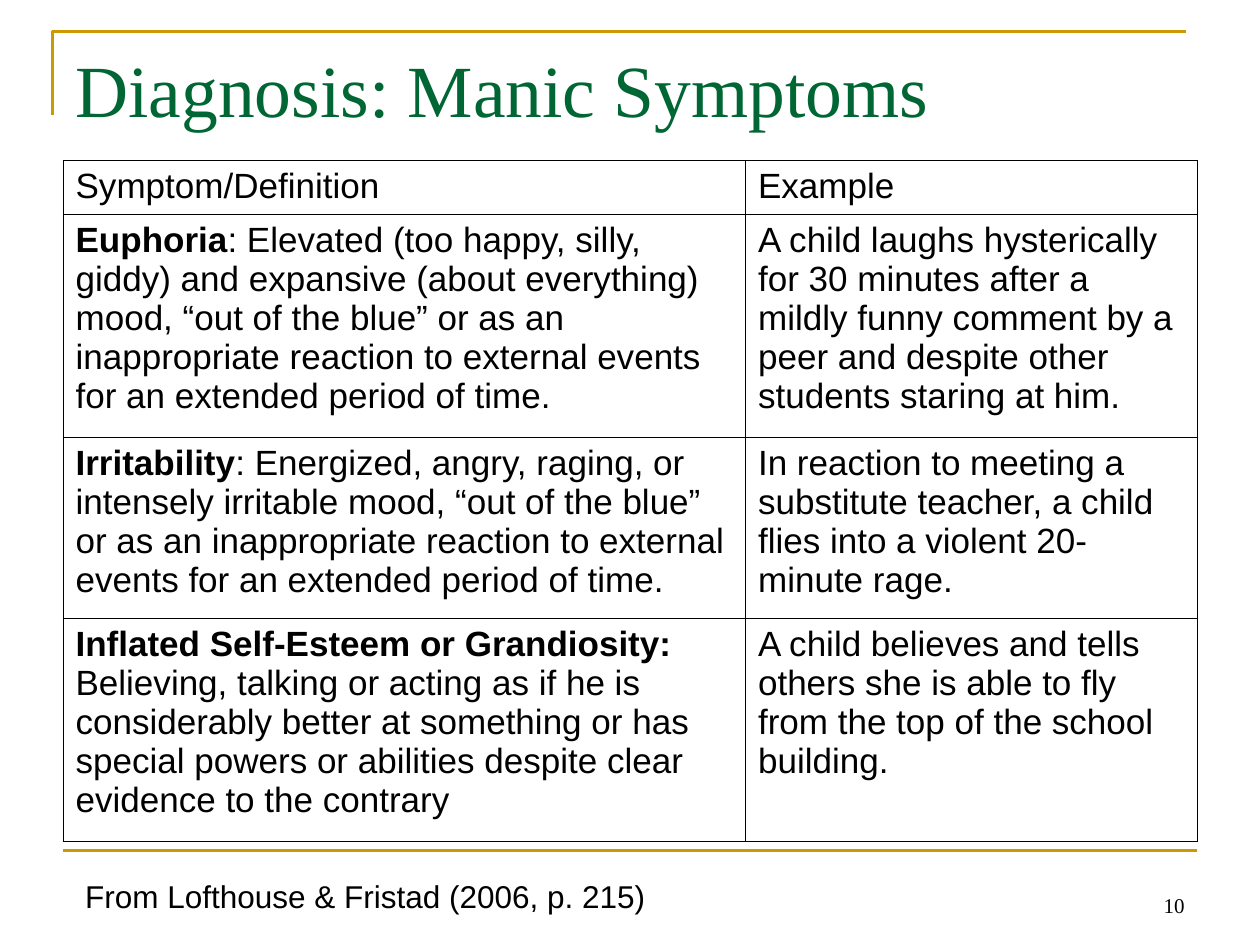
from lxml.etree import SubElement
from pptx import Presentation
from pptx.dml.color import RGBColor
from pptx.enum.shapes import MSO_CONNECTOR
from pptx.enum.text import MSO_ANCHOR, PP_ALIGN
from pptx.oxml.ns import qn
from pptx.util import Pt

GOLD = RGBColor(0xCC, 0x99, 0x00)
GREEN = RGBColor(0x00, 0x66, 0x33)
BLACK = RGBColor(0x00, 0x00, 0x00)
SERIF = "Times New Roman"
SANS = "Arial"

COLUMN_WIDTHS = (390, 258)
ROW_HEIGHTS = (31, 127.4, 103, 127.4)
ROWS = (
    (("", "Symptom/Definition"), ("", "Example")),
    (
        ("Euphoria", ": Elevated (too happy, silly, giddy) and expansive (about everything) mood, "
         "“out of the blue” or as an inappropriate reaction to external events "
         "for an extended period of time."),
        ("", "A child laughs hysterically for 30 minutes after a mildly funny comment "
         "by a peer and despite other students staring at him."),
    ),
    (
        ("Irritability", ": Energized, angry, raging, or intensely irritable mood, "
         "“out of the blue” or as an inappropriate reaction to external events "
         "for an extended period of time."),
        ("", "In reaction to meeting a substitute teacher, a child flies into "
         "a violent 20-minute rage."),
    ),
    (
        ("Inflated Self-Esteem or Grandiosity:", " Believing, talking or acting as if he is "
         "considerably better at something or has special powers or abilities "
         "despite clear evidence to the contrary"),
        ("", "A child believes and tells others she is able to fly "
         "from the top of the school building."),
    ),
)


def set_font(paragraph, name, size, color):
    paragraph.font.name = name
    paragraph.font.size = Pt(size)
    paragraph.font.color.rgb = color


def add_text(slide, left, top, width, height, text, name, size, color):
    shape = slide.shapes.add_textbox(Pt(left), Pt(top), Pt(width), Pt(height))
    frame = shape.text_frame
    frame.word_wrap = True
    paragraph = frame.paragraphs[0]
    paragraph.text = text
    set_font(paragraph, name, size, color)
    return frame


def add_title(slide, left, top, width, height):
    add_text(slide, left, top, width, height,
             "Diagnosis: Manic Symptoms", SERIF, 42, GREEN)


def add_corner_rule(slide, left, top, width, height):
    builder = slide.shapes.build_freeform(Pt(left), Pt(top + height))
    builder.add_line_segments(
        [(Pt(left), Pt(top)), (Pt(left + width), Pt(top))], close=False)
    shape = builder.convert_to_shape()
    shape.shadow.inherit = False
    shape.fill.background()
    shape.line.color.rgb = GOLD
    shape.line.width = Pt(1.5)


def add_bottom_rule(slide, left, top, width):
    connector = slide.shapes.add_connector(
        MSO_CONNECTOR.STRAIGHT, Pt(left), Pt(top), Pt(left + width), Pt(top))
    connector.line.color.rgb = GOLD
    connector.line.width = Pt(1.5)
    SubElement(connector._element.spPr, qn("a:effectLst"))


def set_borders(cell):
    properties = cell._tc.get_or_add_tcPr()
    for position, side in enumerate(("a:lnL", "a:lnR", "a:lnT", "a:lnB")):
        line = properties.makeelement(qn(side), {"w": str(Pt(0.45))})
        fill = SubElement(line, qn("a:solidFill"))
        SubElement(fill, qn("a:srgbClr"), val=str(BLACK))
        properties.insert(position, line)


def fill_cell(cell, term, text):
    cell.fill.background()
    set_borders(cell)
    paragraph = cell.text_frame.paragraphs[0]
    paragraph.space_before = Pt(5)
    set_font(paragraph, SANS, 20, BLACK)
    if term:
        run = paragraph.add_run()
        run.text = term
        run.font.bold = True
    paragraph.add_run().text = text


def add_symptom_table(slide, left, top):
    shape = slide.shapes.add_table(
        len(ROWS), len(COLUMN_WIDTHS), Pt(left), Pt(top),
        Pt(sum(COLUMN_WIDTHS)), Pt(sum(ROW_HEIGHTS)))
    table = shape.table
    table.first_row = False
    table.horz_banding = False
    for column, width in zip(table.columns, COLUMN_WIDTHS):
        column.width = Pt(width)
    for row, height, contents in zip(table.rows, ROW_HEIGHTS, ROWS):
        row.height = Pt(height)
        for cell, (term, text) in zip(row.cells, contents):
            fill_cell(cell, term, text)


def add_footer(slide, left, top, width, height):
    add_text(slide, left + 5.6, top + 6, 345, 29,
             "From Lofthouse & Fristad (2006, p. 215)", SANS, 18, BLACK)
    number = add_text(slide, left + width - 168, top, 168, height, "10", SERIF, 12, BLACK)
    number.vertical_anchor = MSO_ANCHOR.BOTTOM
    number.paragraphs[0].alignment = PP_ALIGN.RIGHT


def main():
    presentation = Presentation()
    presentation.slide_width = Pt(720)
    presentation.slide_height = Pt(540)
    slide = presentation.slides.add_slide(presentation.slide_layouts[6])
    add_corner_rule(slide, 30, 18, 648, 48)
    add_bottom_rule(slide, 36, 486, 648)
    add_title(slide, 36, 21.6, 648, 90)
    add_symptom_table(slide, 36, 91.5)
    add_footer(slide, 36, 491.8, 648, 36)
    presentation.save("out.pptx")


if __name__ == "__main__":
    main()
